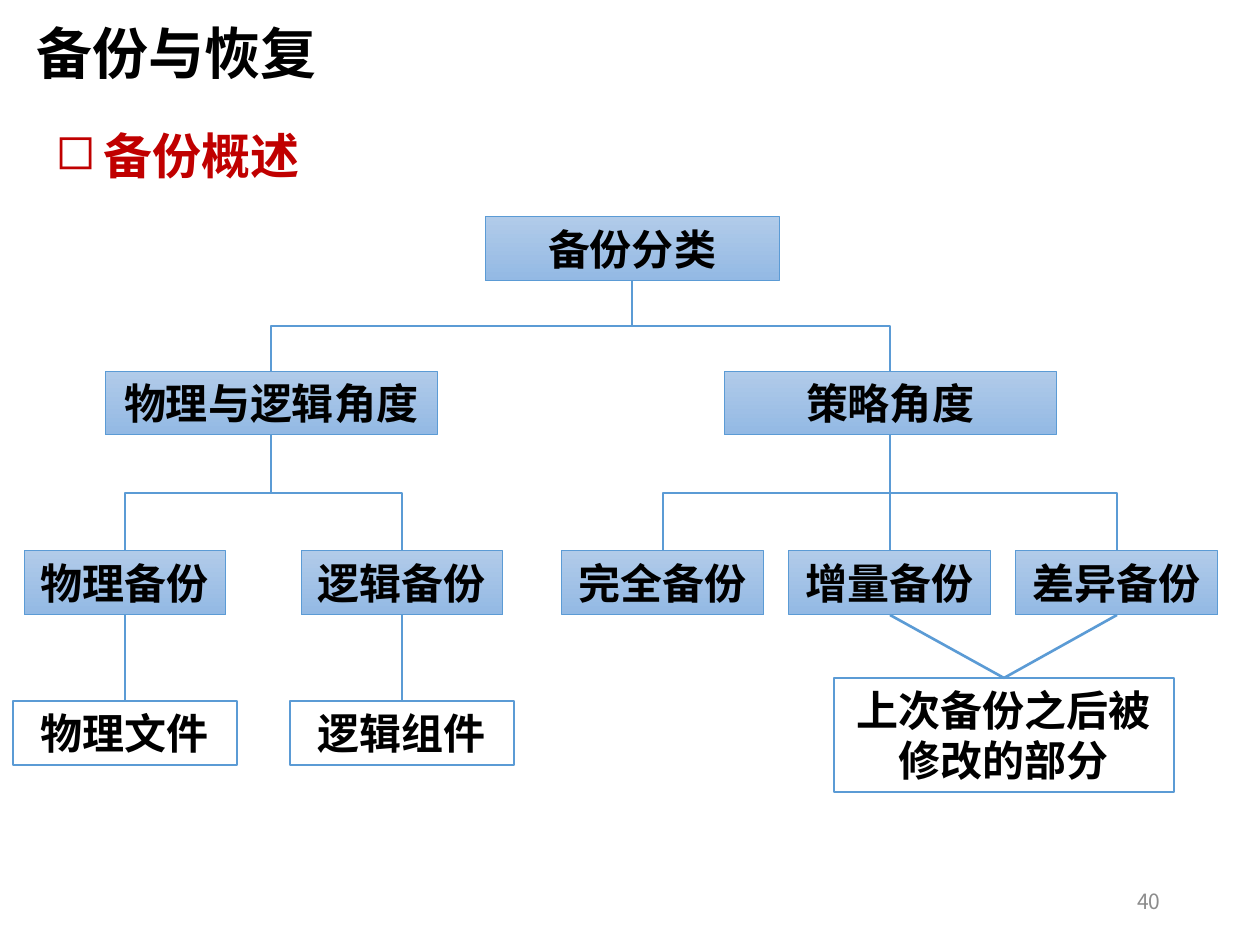
"""Build the slide that classifies kinds of backup as a tree."""
import dataclasses

import lxml.etree
import pptx
import pptx.dml.color
import pptx.enum.dml
import pptx.enum.shapes
import pptx.enum.text
import pptx.oxml.ns
import pptx.util

PX_PER_INCH = 126
FONT = "Noto Sans CJK SC"
BLUE = "5B9BD5"
BOX_GRADIENT = ("B1CBE9", "93B9E4")
BOX_HEIGHT = 64
TOP, BOTTOM = 0, 2
ALIGN = pptx.enum.text.PP_ALIGN


@dataclasses.dataclass(frozen=True)
class Node:
    text: str
    center: int
    top: int
    width: int
    height: int = BOX_HEIGHT
    is_note: bool = False
    line_spacing: float | None = None

    @property
    def bottom(self) -> int:
        return self.top + self.height


def px(length: float) -> int:
    return pptx.util.Inches(length / PX_PER_INCH)


def rgb(value: str):
    return pptx.dml.color.RGBColor.from_string(value)


def write(shape, text: str, *, size: int, color: str = "000000", bold: bool = True,
          align=ALIGN.LEFT, wrap: bool = True, line_spacing: float | None = None):
    frame = shape.text_frame
    frame.word_wrap = wrap
    frame.vertical_anchor = pptx.enum.text.MSO_ANCHOR.MIDDLE
    paragraph = frame.paragraphs[0]
    paragraph.alignment = align
    if line_spacing:
        paragraph.line_spacing = pptx.util.Pt(line_spacing)
    run = paragraph.add_run()
    run.text = text
    run.font.size = pptx.util.Pt(size)
    run.font.bold = bold
    run.font.color.rgb = rgb(color)
    run.font.name = FONT
    east_asian = lxml.etree.SubElement(run.font._element, pptx.oxml.ns.qn("a:ea"))
    east_asian.set("typeface", FONT)
    return paragraph


def add_label(slide, text: str, left: int, top: int, width: int, height: int, **text_format):
    box = slide.shapes.add_textbox(px(left), px(top), px(width), px(height))
    return write(box, text, **text_format)


def add_bullet(paragraph, symbol: str, indent: int) -> None:
    properties = paragraph._p.get_or_add_pPr()
    properties.set("marL", str(px(indent)))
    properties.set("indent", str(-px(indent)))
    bullet = lxml.etree.SubElement(properties, pptx.oxml.ns.qn("a:buChar"))
    bullet.set("char", symbol)


def add_node(slide, node: Node):
    box = slide.shapes.add_shape(
        pptx.enum.shapes.MSO_SHAPE.RECTANGLE,
        px(node.center - node.width / 2), px(node.top), px(node.width), px(node.height))
    box.shadow.inherit = False
    box.line.color.rgb = rgb(BLUE)
    box.line.width = pptx.util.Pt(1.5 if node.is_note else 0.5)
    if node.is_note:
        box.fill.solid()
        box.fill.fore_color.rgb = rgb("FFFFFF")
    else:
        box.fill.gradient()
        box.fill.gradient_angle = 270
        for stop, color in zip(box.fill.gradient_stops, BOX_GRADIENT):
            stop.color.rgb = rgb(color)
    write(box, node.text, size=24, align=ALIGN.CENTER, line_spacing=node.line_spacing)
    return box


def style_connector(connector) -> None:
    connector.line.color.rgb = rgb(BLUE)
    connector.line.width = pptx.util.Pt(1.5)
    lxml.etree.SubElement(connector._element.spPr, pptx.oxml.ns.qn("a:effectLst"))


def add_straight(slide, parent_box, child_box) -> None:
    connector = slide.shapes.add_connector(
        pptx.enum.shapes.MSO_CONNECTOR.STRAIGHT, 0, 0, 0, 0)
    connector.begin_connect(parent_box, BOTTOM)
    connector.end_connect(child_box, TOP)
    style_connector(connector)


def add_elbow(slide, parent: Node, child: Node) -> None:
    """Draw a down-across-down branch as a horizontal elbow turned a quarter."""
    drop = child.top - parent.bottom
    reach = abs(child.center - parent.center)
    left = (parent.center + child.center - drop) / 2
    top = (parent.bottom + child.top - reach) / 2
    goes_right = child.center > parent.center
    start, end = (left + drop, left) if goes_right else (left, left + drop)
    connector = slide.shapes.add_connector(
        pptx.enum.shapes.MSO_CONNECTOR.ELBOW, px(start), px(top), px(end), px(top + reach))
    transform = connector._element.spPr.find(pptx.oxml.ns.qn("a:xfrm"))
    transform.set("rot", str((270 if goes_right else 90) * 60000))
    style_connector(connector)


def main() -> None:
    deck = pptx.Presentation()
    deck.slide_width, deck.slide_height = pptx.util.Inches(10), pptx.util.Inches(7.5)
    slide = deck.slides.add_slide(deck.slide_layouts[6])

    add_label(slide, "40", 890, 876, 283, 50, size=12, color="8C8C8C", bold=False,
              align=ALIGN.RIGHT)
    heading = add_label(slide, "备份概述", 43, 119, 1174, 72, size=28, color="C00000")
    add_bullet(heading, "◻", 48)
    add_label(slide, "备份与恢复", 24, 12, 309, 80, size=32, wrap=False)

    root = Node("备份分类", 632, 217, 294)
    by_nature = Node("物理与逻辑角度", 271, 371, 332)
    by_strategy = Node("策略角度", 890, 371, 332)
    physical, logical = (Node(text, center, 551, 202) for text, center in
                         (("物理备份", 125), ("逻辑备份", 402)))
    full, incremental, differential = (
        Node(text, by_strategy.center + step * 227, 551, 202)
        for step, text in zip((-1, 0, 1), ("完全备份", "增量备份", "差异备份")))
    files = Node("物理文件", physical.center, 701, 224, is_note=True)
    components = Node("逻辑组件", logical.center, 701, 224, is_note=True)
    changes = Node("上次备份之后被修改的部分", 1004, 678, 340, 114, is_note=True,
                   line_spacing=28.5)

    boxes = {node: add_node(slide, node) for node in (
        root, by_nature, by_strategy, physical, logical, full, incremental,
        differential, files, components, changes)}

    for parent, child in ((root, by_nature), (root, by_strategy),
                          (by_nature, physical), (by_nature, logical),
                          (by_strategy, full), (by_strategy, differential)):
        add_elbow(slide, parent, child)
    for parent, child in ((by_strategy, incremental), (physical, files),
                          (logical, components), (incremental, changes),
                          (differential, changes)):
        add_straight(slide, boxes[parent], boxes[child])

    deck.save("out.pptx")


if __name__ == "__main__":
    main()
